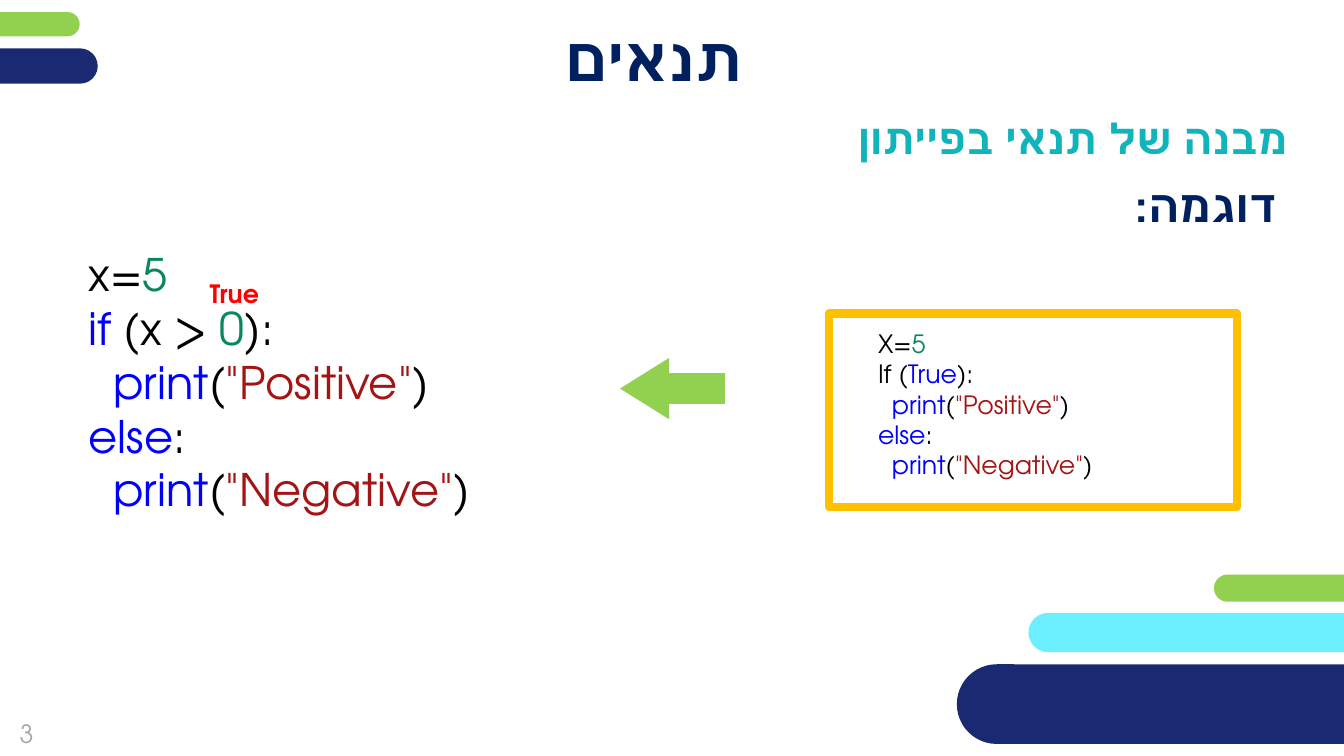
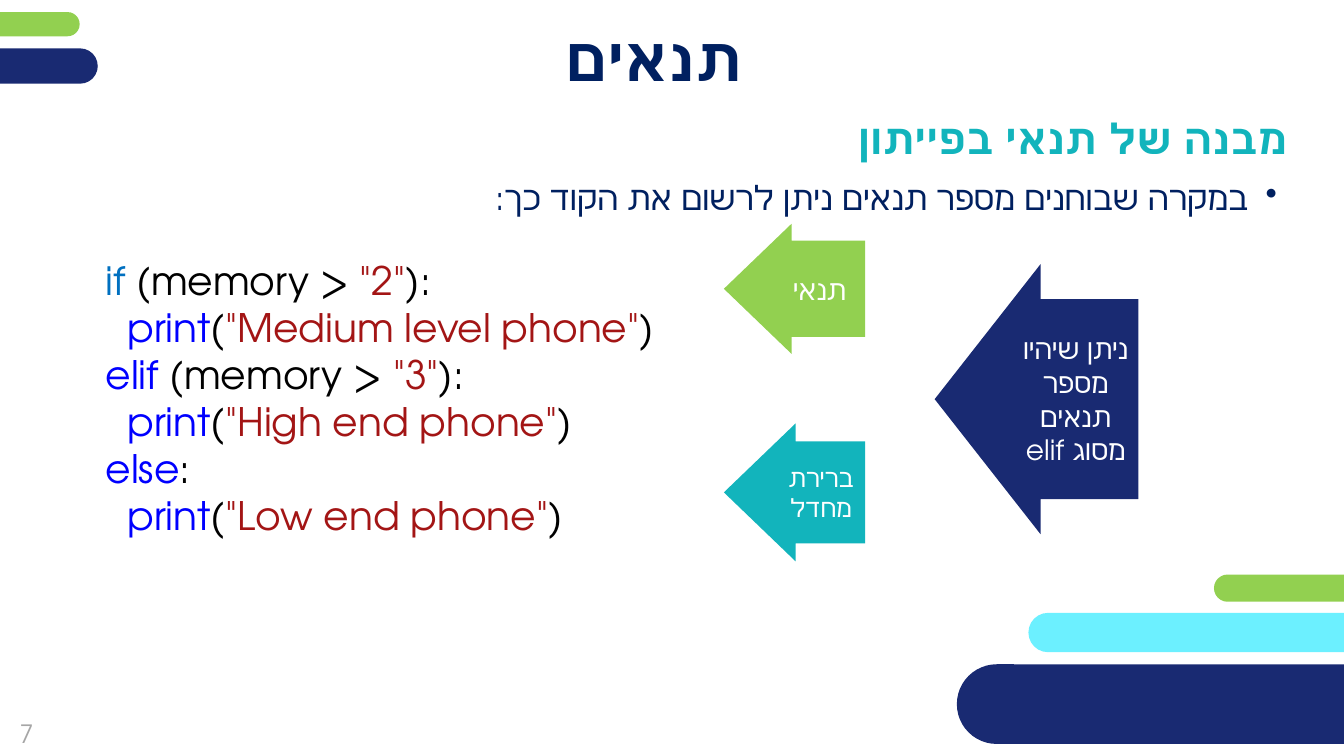
from dataclasses import dataclass

from lxml.etree import SubElement
from pptx import Presentation
from pptx.dml.color import RGBColor
from pptx.enum.shapes import MSO_SHAPE as SHAPE
from pptx.enum.text import MSO_ANCHOR as ANCHOR, PP_ALIGN as ALIGN
from pptx.oxml.ns import qn
from pptx.util import Inches, Pt


@dataclass(frozen=True)
class Theme:
    font: str = "TeX Gyre Adventor"
    white: str = "FFFFFF"
    green: str = "92D050"
    navy: str = "192A72"
    aqua: str = "6CF0FF"
    teal: str = "12B4BC"
    ink: str = "002060"
    grey: str = "A6A6A6"
    amber: str = "FFC000"
    red: str = "FF0000"
    plain: str = "000000"
    keyword: str = "0000FF"
    first_if: str = "0070C0"
    number: str = "09885A"
    string: str = "A31515"
    title: int = 44
    subtitle: int = 30
    lead: int = 32
    bullet: int = 24
    code: int = 28
    label: int = 20
    small: int = 18


T = Theme()
MARGINS = (0.1, 0.05, 0.1, 0.05)
ARROW_MARGINS = (0.05, 0.05, 0.05, 0.05)
NO_MARGINS = (0, 0, 0, 0)
BANDS = [
    (-1.51, 0.12, 2.3, 0.24, T.green),
    (-1.89, 0.48, 2.86, 0.35, T.navy),
    (10.2, 6.08, 5.21, 0.39, T.aqua),
    (9.49, 6.59, 4.51, 0.79, T.navy),
    (12.04, 5.7, 2.59, 0.27, T.green),
]


class Deck:
    def __init__(self, theme):
        self.theme = theme
        self.prs = Presentation()
        self.prs.slide_width = Inches(13.33)
        self.prs.slide_height = Inches(7.5)
        self.slide = None

    def new_slide(self, number, title, subtitle):
        t = self.theme
        self.slide = self.prs.slides.add_slide(self.prs.slide_layouts[6])
        for *box, color in BANDS:
            self.shape(SHAPE.ROUNDED_RECTANGLE, box, color, adjust=[0.5])
        self.text((0, 6.99, 0.53, 0.57), number, t.small, t.grey,
                  align=ALIGN.CENTER, anchor=ANCHOR.MIDDLE)
        self.text((1.12, 0.17, 10.72, 0.79), title, t.title, t.ink, bold=True,
                  rtl=True, align=ALIGN.CENTER, anchor=ANCHOR.MIDDLE,
                  margins=NO_MARGINS)
        self.text((0.56, 1.12, 12.21, 0.5), subtitle, t.subtitle, t.teal,
                  bold=True, rtl=True, align=ALIGN.RIGHT, anchor=ANCHOR.MIDDLE,
                  margins=NO_MARGINS)

    def shape(self, kind, box, fill, line=None, adjust=()):
        sp = self.slide.shapes.add_shape(kind, *map(Inches, box))
        sp.shadow.inherit = False
        sp.fill.solid()
        sp.fill.fore_color.rgb = RGBColor.from_string(fill)
        if line:
            color, width = line
            sp.line.color.rgb = RGBColor.from_string(color)
            sp.line.width = Pt(width)
        else:
            sp.line.fill.background()
        for i, value in enumerate(adjust):
            sp.adjustments[i] = value
        return sp

    def frame(self, sp, anchor=ANCHOR.TOP, margins=MARGINS):
        tf = sp.text_frame
        tf.word_wrap = True
        tf.vertical_anchor = anchor
        (tf.margin_left, tf.margin_top,
         tf.margin_right, tf.margin_bottom) = map(Inches, margins)
        return tf

    def paragraph(self, p, align, rtl=False, bullet=False):
        p.alignment = align
        pPr = p._p.get_or_add_pPr()
        if rtl:
            pPr.set("rtl", "1")
        if bullet:
            pPr.set("marL", str(Inches(0.29)))
            pPr.set("indent", str(Inches(-0.29)))
            SubElement(pPr, qn("a:buChar")).set("char", "•")

    def run(self, p, text, size, color, bold=False):
        r = p.add_run()
        r.text = text
        r.font.size = Pt(size)
        r.font.bold = bold
        r.font.color.rgb = RGBColor.from_string(color)
        r.font.name = self.theme.font
        SubElement(r.font._element, qn("a:cs")).set("typeface", self.theme.font)

    def text(self, box, text, size, color, bold=False, rtl=False, bullet=False,
             align=ALIGN.LEFT, anchor=ANCHOR.TOP, margins=MARGINS):
        sp = self.slide.shapes.add_textbox(*map(Inches, box))
        p = self.frame(sp, anchor, margins).paragraphs[0]
        self.paragraph(p, align, rtl, bullet)
        self.run(p, text, size, color, bold)

    def code(self, box, lines, size):
        """Each line is a list of (text, colour) pairs."""
        sp = self.slide.shapes.add_textbox(*map(Inches, box))
        tf = self.frame(sp)
        for i, line in enumerate(lines):
            p = tf.add_paragraph() if i else tf.paragraphs[0]
            self.paragraph(p, ALIGN.LEFT)
            for text, color in line:
                self.run(p, text, size, color)

    def arrow(self, box, fill, adjust, label="", size=0):
        sp = self.shape(SHAPE.LEFT_ARROW, box, fill, adjust=adjust)
        if label:
            p = self.frame(sp, ANCHOR.MIDDLE, ARROW_MARGINS).paragraphs[0]
            self.paragraph(p, ALIGN.CENTER, rtl=True)
            self.run(p, label, size, self.theme.white)


def print_line(message):
    return [("  ", T.plain), ("print", T.keyword), ("(", T.plain),
            (f'"{message}"', T.string), (")", T.plain)]


def memory_test(word, color, value):
    return [(word, color), (" (memory > ", T.plain),
            (f'"{value}"', T.string), ("):", T.plain)]


ELSE_LINE = [("else", T.keyword), (":", T.plain)]


def sign_code(name, condition):
    return [[(f"{name}=", T.plain), ("5", T.number)], condition,
            print_line("Positive"), ELSE_LINE, print_line("Negative")]


def example_slide(deck):
    deck.text((0.56, 1.71, 12.21, 3.85), "דוגמה:", T.lead, T.ink, bold=True,
              rtl=True, align=ALIGN.RIGHT)
    deck.shape(SHAPE.RECTANGLE, (8.22, 3.11, 4.05, 1.92), T.white,
               line=(T.amber, 6))
    deck.text((1.98, 2.71, 0.81, 0.4), "True", T.small, T.red, bold=True)
    deck.arrow((6.15, 3.55, 1.04, 0.61), T.green, (0.5, 0.8))
    compare = [("if", T.keyword), (" (x > ", T.plain), ("0", T.number),
               ("):", T.plain)]
    deck.code((0.78, 2.4, 6.67, 2.79), sign_code("x", compare), T.lead)
    result = [("If (", T.plain), ("True", T.keyword), ("):", T.plain)]
    deck.code((8.61, 3.21, 3.15, 1.62), sign_code("X", result), T.small)


def elif_slide(deck):
    deck.text((0.56, 1.71, 12.21, 3.85),
              "במקרה שבוחנים מספר תנאים ניתן לרשום את הקוד כך:",
              T.bullet, T.ink, rtl=True, bullet=True, align=ALIGN.RIGHT)
    wide_head = (0.74, 0.52)
    deck.arrow((7.18, 2.22, 1.4, 1.29), T.green, wide_head,
               "תנאי", T.label)
    deck.arrow((9.27, 2.62, 2.02, 2.68), T.navy, wide_head,
               "ניתן שיהיו מספר תנאים מסוג elif", T.label)
    deck.arrow((7.18, 4.2, 1.4, 1.37), T.teal, wide_head,
               "ברירת מחדל", T.small)
    deck.code((0.95, 2.49, 6.67, 2.93), [
        memory_test("if", T.first_if, 2),
        print_line("Medium level phone"),
        memory_test("elif", T.keyword, 3),
        print_line("High end phone"),
        ELSE_LINE,
        print_line("Low end phone"),
    ], T.code)


def main():
    deck = Deck(T)
    for number, fill_slide in (("3", example_slide), ("7", elif_slide)):
        deck.new_slide(number, "תנאים", "מבנה של תנאי בפייתון")
        fill_slide(deck)
    deck.prs.save("out.pptx")


if __name__ == "__main__":
    main()
